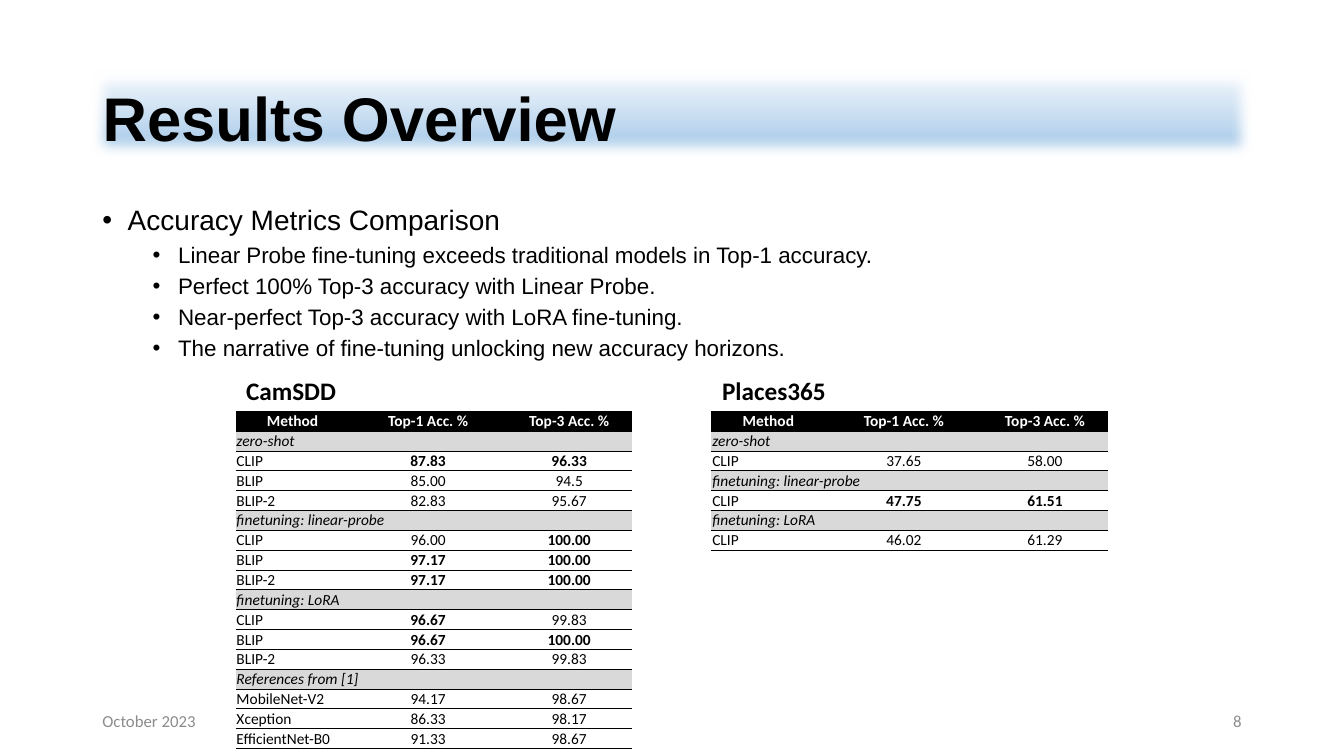
"""Build the results overview slide with two accuracy tables."""
from lxml import etree
from pptx import Presentation
from pptx.dml.color import RGBColor
from pptx.enum import text as t
from pptx.oxml import parse_xml
from pptx.oxml.ns import nsdecls, qn
from pptx.util import Cm, Pt

HUES = {"ink": "000000", "paper": "FFFFFF", "group": "D9D9D9", "foot": "8C8C8C"}
BAND = [(0, "F7FAFD"), (74, "B5D2EC"), (83, "B5D2EC"), (100, "CEE1F2")]
PLAIN = "{2D5ABB26-0587-4C30-8999-92F81FD0307C}"
LEFT, MID, RIGHT = t.PP_ALIGN.LEFT, t.PP_ALIGN.CENTER, t.PP_ALIGN.RIGHT

HEAD = ("Method", "Top-1 Acc. %", "Top-3 Acc. %")
COLS = (2.87, 3.96, 3.15)
POINTS = [
    "Linear Probe fine-tuning exceeds traditional models in Top-1 accuracy.",
    "Perfect 100% Top-3 accuracy with Linear Probe.",
    "Near-perfect Top-3 accuracy with LoRA fine-tuning.",
    "The narrative of fine-tuning unlocking new accuracy horizons.",
]
CAMS = [
    ("zero-shot",),
    ("CLIP", "*87.83", "*96.33"),
    ("BLIP", "85.00", "94.5"),
    ("BLIP-2", "82.83", "95.67"),
    ("finetuning: linear-probe",),
    ("CLIP", "96.00", "*100.00"),
    ("BLIP", "*97.17", "*100.00"),
    ("BLIP-2", "*97.17", "*100.00"),
    ("finetuning: LoRA",),
    ("CLIP", "*96.67", "99.83"),
    ("BLIP", "*96.67", "*100.00"),
    ("BLIP-2", "96.33", "99.83"),
    ("References from [1]",),
    ("MobileNet-V2", "94.17", "98.67"),
    ("Xception", "86.33", "98.17"),
    ("EfficientNet-B0", "91.33", "98.67"),
]
PLACES = [
    ("zero-shot",),
    ("CLIP", "37.65", "58.00"),
    ("finetuning: linear-probe",),
    ("CLIP", "*47.75", "*61.51"),
    ("finetuning: LoRA",),
    ("CLIP", "46.02", "61.29"),
]


def add_run(para, words, size, face="Calibri", hue="ink", bold=False, slant=False):
    """Add one formatted run to a paragraph."""
    run = para.add_run()
    run.text = words
    font = run.font
    font.size, font.name, font.bold, font.italic = Pt(size), face, bold, slant
    font.color.rgb = RGBColor.from_string(HUES[hue])


def add_box(slide, left, top, width, height, anchor=t.MSO_ANCHOR.TOP):
    """Add a wrapping text box and return its frame."""
    frame = slide.shapes.add_textbox(Cm(left), Cm(top), Cm(width), Cm(height)).text_frame
    frame.word_wrap = True
    frame.vertical_anchor = anchor
    return frame


def set_title(slide, words):
    """Place the title on a soft-edged gradient band."""
    title = slide.shapes.title
    title.left, title.top, title.width, title.height = Cm(2.33), Cm(1.75), Cm(29.21), Cm(2.21)
    stops = "".join(
        f'<a:gs pos="{pos * 1000}"><a:srgbClr val="{hue}"/></a:gs>' for pos, hue in BAND
    )
    props = title._element.spPr
    title.fill.background()
    props.replace(props.find(qn("a:noFill")), parse_xml(
        f'<a:gradFill {nsdecls("a")} rotWithShape="1"><a:gsLst>{stops}</a:gsLst>'
        '<a:lin ang="5400000" scaled="0"/></a:gradFill>'))
    title.line.fill.background()
    props.append(parse_xml(
        f'<a:effectLst {nsdecls("a")}><a:softEdge rad="112500"/></a:effectLst>'))
    frame = title.text_frame
    frame.auto_size = t.MSO_AUTO_SIZE.NONE
    frame.vertical_anchor = t.MSO_ANCHOR.MIDDLE
    para = frame.paragraphs[0]
    para.alignment, para.line_spacing = LEFT, 1.1
    add_run(para, words, 44, "Arial", bold=True)


def add_point(para, words, size, indent, level=0, before=0):
    """Fill a paragraph as a bullet with a hanging indent."""
    props = para._p.get_or_add_pPr()
    props.set("marL", str(Cm(indent)))
    props.set("indent", str(-Cm(0.64)))
    etree.SubElement(props, qn("a:buFont")).set("typeface", "Arial")
    etree.SubElement(props, qn("a:buChar")).set("char", "•")
    para.level, para.line_spacing, para.space_before = level, 0.9, Pt(before)
    add_run(para, words, size, "Arial")


def add_list(slide):
    """Add the heading bullet and its points."""
    frame = add_box(slide, 2.33, 5.08, 29.21, 12.09)
    add_point(frame.paragraphs[0], "Accuracy Metrics Comparison", 20, 0.64)
    for words in POINTS:
        add_point(frame.add_paragraph(), words, 16, 1.91, 1, 5)


def add_label(slide, words, size, left, top, width, align, hue="ink", bold=False):
    """Add a single-line label."""
    frame = add_box(slide, left, top, width, 1.02, t.MSO_ANCHOR.MIDDLE)
    frame.paragraphs[0].alignment = align
    add_run(frame.paragraphs[0], words, size, hue=hue, bold=bold)


def style_cell(cell, fill):
    """Set margins, fill and horizontal rules of a cell."""
    cell.margin_left = cell.margin_right = cell.margin_top = Cm(0.02)
    cell.margin_bottom = 0
    cell.vertical_anchor = t.MSO_ANCHOR.MIDDLE
    cell.fill.solid()
    cell.fill.fore_color.rgb = RGBColor.from_string(HUES[fill])
    for spot, side in enumerate(("lnT", "lnB")):
        cell._tc.tcPr.insert(spot, parse_xml(
            f'<a:{side} {nsdecls("a")} w="{Pt(0.5)}"><a:solidFill>'
            f'<a:srgbClr val="{HUES["ink"]}"/></a:solidFill></a:{side}>'))


def fill_cell(cell, words, col, head, group):
    """Write a cell, where a leading star marks a best value."""
    style_cell(cell, "ink" if head else "group" if group else "paper")
    para = cell.text_frame.paragraphs[0]
    para.alignment = MID if head or col else LEFT
    if words:
        add_run(para, words.lstrip("*"), 11, hue="paper" if head else "ink",
                bold=head or words.startswith("*"), slant=group)
    else:
        etree.SubElement(para._p, qn("a:endParaRPr")).set("sz", "1100")


def add_grid(slide, name, wide, left, body):
    """Add a captioned accuracy table."""
    rows = [HEAD, *body]
    grid = slide.shapes.add_table(
        len(rows), len(COLS), Cm(left), Cm(10.36), Cm(sum(COLS)), Cm(0.5 * len(rows))).table
    grid.horz_banding = False
    grid._tbl.tblPr.find(qn("a:tableStyleId")).text = PLAIN
    for col, width in zip(grid.columns, COLS):
        col.width = Cm(width)
    for i, row in enumerate(rows):
        grid.rows[i].height = Cm(0.5)
        group = len(row) == 1
        for j in range(len(COLS)):
            fill_cell(grid.cell(i, j), row[j] if j < len(row) else "", j, i == 0, group)
        if group:
            grid.cell(i, 0).merge(grid.cell(i, len(COLS) - 1))
    add_label(slide, name, 18, left, 9.32, wide, MID, bold=True)


def main():
    """Assemble and save the slide."""
    deck = Presentation()
    deck.slide_width, deck.slide_height = Cm(33.87), Cm(19.05)
    slide = deck.slides.add_slide(deck.slide_layouts[5])
    set_title(slide, "Results Overview")
    add_list(slide)
    add_grid(slide, "CamSDD", 2.79, 5.94, CAMS)
    add_grid(slide, "Places365", 3.15, 17.93, PLACES)
    add_label(slide, "October 2023", 12, 2.33, 17.65, 7.62, LEFT, "foot")
    add_label(slide, "8", 12, 23.92, 17.65, 7.62, RIGHT, "foot")
    deck.save("out.pptx")


if __name__ == "__main__":
    main()
